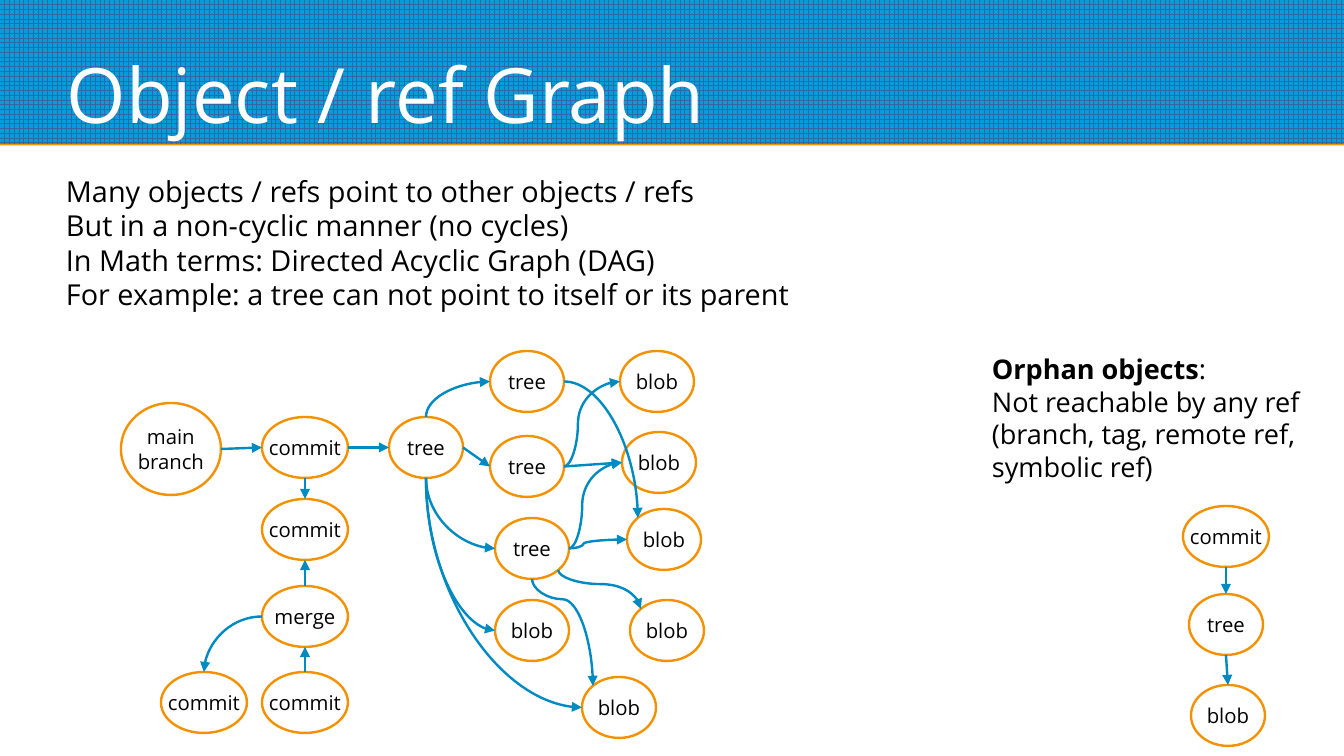
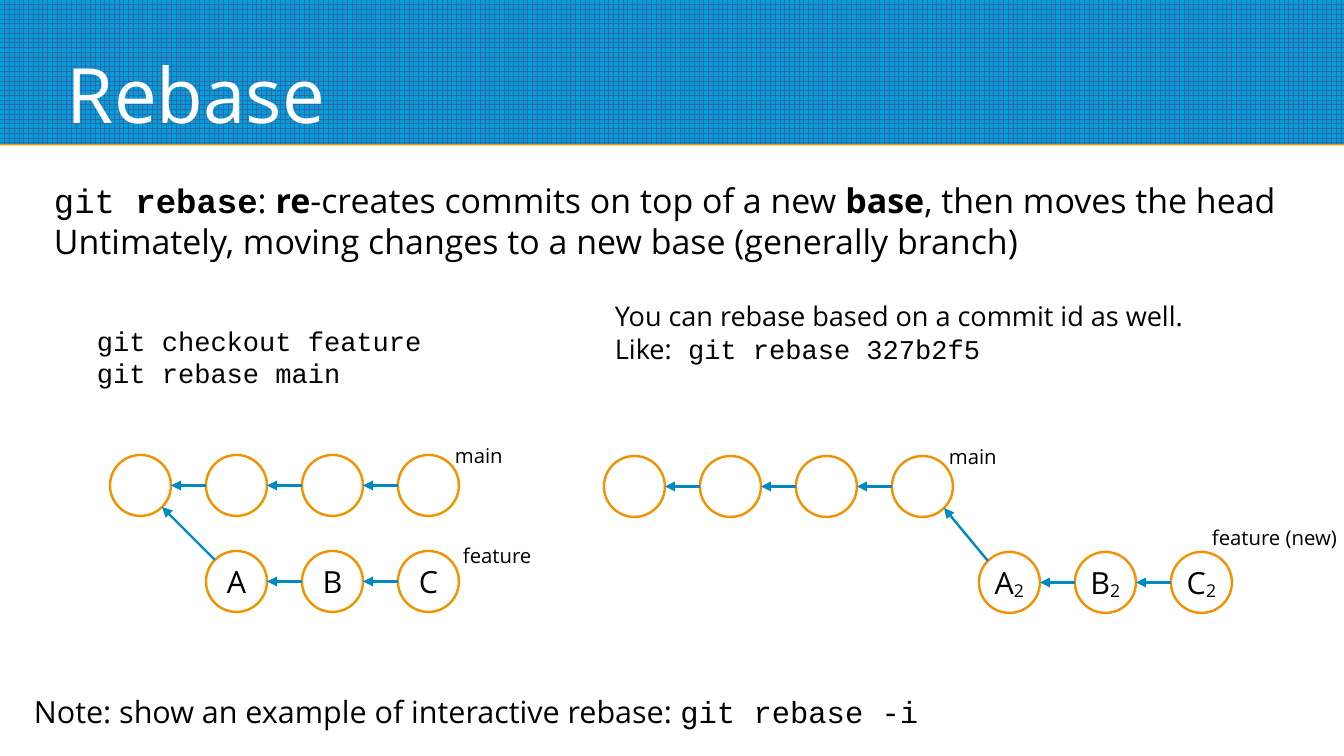
from math import cos, pi, sin

from lxml import etree
from pptx import Presentation
from pptx.dml.color import RGBColor
from pptx.enum.dml import MSO_PATTERN
from pptx.enum.shapes import MSO_CONNECTOR, MSO_SHAPE
from pptx.enum.text import MSO_ANCHOR, PP_ALIGN
from pptx.oxml.ns import qn
from pptx.util import Pt

SCALE = 914400 / 122
WIDE, HIGH = 1344, 756
SANS, MONO = "Open Sans", "Courier New"
BLUE, GRID, ORANGE, ARROW = "009EDA", "3465A4", "F49100", "008AC2"
BLACK, WHITE = "000000", "FFFFFF"
STROKE = Pt(1.42)
OVAL, RECT = MSO_SHAPE.OVAL, MSO_SHAPE.RECTANGLE
STRAIGHT, CURVE = MSO_CONNECTOR.STRAIGHT, MSO_CONNECTOR.CURVE
LARGE_GRID = MSO_PATTERN.LARGE_GRID
LEFT, CENTER = PP_ALIGN.LEFT, PP_ALIGN.CENTER
MIDDLE, BOTTOM = MSO_ANCHOR.MIDDLE, MSO_ANCHOR.BOTTOM
# Connection sites of an ellipse, counted anticlockwise from the top
TOP, TOP_LEFT, WEST, FOOT, LOW_RIGHT, EAST = 0, 1, 2, 4, 5, 6


def px(n):
    return round(n * SCALE)


def color(code):
    return RGBColor.from_string(code)


def write(shape, paras, size, tint=BLACK, align=LEFT, anchor=MIDDLE,
          pad=(5, 5, 0, 5), wrap=True):
    """Each paragraph is a string or a list of (text, style) pairs.
    Styles: b bold, m monospaced, s subscript."""
    frame = shape.text_frame
    frame.word_wrap = wrap
    frame.vertical_anchor = anchor
    frame.margin_left, frame.margin_top, frame.margin_right, frame.margin_bottom = map(px, pad)
    for n, parts in enumerate(paras):
        para = frame.add_paragraph() if n else frame.paragraphs[0]
        para.alignment = align
        for text, style in [(parts, "")] if isinstance(parts, str) else parts:
            run = para.add_run()
            run.text = text
            run.font.name = MONO if "m" in style else SANS
            run.font.size = Pt(size)
            run.font.bold = "b" in style
            run.font.color.rgb = color(tint)
            if "s" in style:
                run.font._element.set("baseline", "-8000")


def label(slide, box, paras, size, **look):
    write(slide.shapes.add_textbox(*map(px, box)), paras, size, **look)


def header(slide, title, box=(0, 0, WIDE, 144)):
    x, y, w, h = box
    band = slide.shapes.add_shape(RECT, *map(px, box))
    band.fill.patterned()
    band.fill.pattern = LARGE_GRID
    band.fill.fore_color.rgb = color(GRID)
    band.fill.back_color.rgb = color(BLUE)
    band.line.fill.background()
    band.shadow.inherit = False
    # Thin orange edge below the band
    glow = etree.SubElement(band._element.spPr.find(qn("a:effectLst")), qn("a:outerShdw"),
                            blurRad="0", dist="11430", dir="5400000",
                            algn="ctr", rotWithShape="0")
    etree.SubElement(glow, qn("a:srgbClr"), val=ORANGE)
    label(slide, (x + 67, y + 12, w - 134, h - 17), [title], 45,
          tint=WHITE, anchor=BOTTOM, pad=(0, 0, 0, 0))


def node(slide, box, paras, size):
    oval = slide.shapes.add_shape(OVAL, *map(px, box))
    oval.fill.background()
    oval.line.color.rgb = color(ORANGE)
    oval.line.width = STROKE
    oval.shadow.inherit = False
    if paras:
        write(oval, paras, size, align=CENTER, pad=(5, 5, 5, 5), wrap=False)
    return oval


def site(oval, n):
    turn = pi / 2 + n * pi / 4
    return (round(oval.left + oval.width / 2 * (1 + cos(turn))),
            round(oval.top + oval.height / 2 * (1 - sin(turn))))


def link(slide, start, i, end, j, bend=None):
    """Arrow between two sites; bend is the percentage where a curve turns."""
    (x1, y1), (x2, y2) = site(start, i), site(end, j)
    kind = STRAIGHT if bend is None else CURVE
    line = slide.shapes.add_connector(kind, x1, y1, x2, y2)
    props = line._element.spPr
    if bend is not None:
        curve(line, props, i, j, x2 - x1, y2 - y1, bend)
    line.line.color.rgb = color(ARROW)
    line.line.width = STROKE
    etree.SubElement(props.find(qn("a:ln")), qn("a:tailEnd"), type="triangle")
    etree.SubElement(props, qn("a:effectLst"))
    # Join both ends to the ovals
    joint = line._element.nvCxnSpPr.cNvCxnSpPr
    for tag, oval, n in (("a:stCxn", start, i), ("a:endCxn", end, j)):
        etree.SubElement(joint, qn(tag), id=str(oval.shape_id), idx=str(n))


def curve(line, props, i, j, dx, dy, bend):
    upright, landing = (n not in (WEST, EAST) for n in (i, j))
    shape = props.find(qn("a:prstGeom"))
    if upright != landing:
        shape.set("prst", "curvedConnector2")
    else:
        guides = shape.find(qn("a:avLst"))
        if guides is None:
            guides = etree.SubElement(shape, qn("a:avLst"))
        etree.SubElement(guides, qn("a:gd"), name="adj1", fmla=f"val {bend * 1000}")
    if upright:
        # A curve leaving up or down is a turned one; all of these run rightwards
        w, h = abs(dy), abs(dx)
        line.left += (h - w) // 2
        line.top += (w - h) // 2
        line.width, line.height = w, h
        frame = props.find(qn("a:xfrm"))
        frame.set("rot", "16200000" if dy > 0 else "5400000")
        frame.set("flipH", "1")
        frame.set("flipV", "0" if dy > 0 else "1")


SIZES = {"commit": (86, 61), "merge": (86, 61), "main\nbranch": (100, 92)}


def graph(slide, x, y, nodes, links):
    ovals = {}
    for key, (text, dx, dy) in nodes.items():
        size = SIZES.get(text, (74, 61))
        ovals[key] = node(slide, (x + dx, y + dy, *size), text.split("\n"), 12)
    for a, i, b, j, *bend in links:
        link(slide, ovals[a], i, ovals[b], j, *bend)


def chain(slide, x, y, names):
    ovals = [node(slide, (x + 96 * n, y, 61, 61), name, 18)
             for n, name in enumerate(names)]
    for old, new in zip(ovals, ovals[1:]):
        link(slide, new, WEST, old, EAST)
    return ovals


def history(slide, x, y, fork, shift, names, tag, spot):
    """Main line of four commits and a branch that starts at one of them."""
    trunk = chain(slide, x, y, [None] * 4)
    branch = chain(slide, x + shift, y + 96, names)
    link(slide, branch[0], TOP_LEFT, trunk[fork], LOW_RIGHT)
    label(slide, (x + 340, y - 19, 137, 38), ["main"], 12)
    label(slide, (x + spot[0], y + spot[1], 137, 31), [tag], 12)


NODES = {
    "main": ("main\nbranch", 0, 52),
    "head": ("commit", 141, 66), "past": ("commit", 141, 148),
    "merge": ("merge", 141, 235), "next": ("commit", 141, 321),
    "side": ("commit", 40, 321),
    "root": ("tree", 268, 66),
    "tree1": ("tree", 369, 0), "tree2": ("tree", 369, 85), "tree3": ("tree", 374, 167),
    "blob1": ("blob", 499, 0), "blob2": ("blob", 501, 81), "blob3": ("blob", 506, 158),
    "blob4": ("blob", 509, 249), "blob5": ("blob", 374, 249), "blob6": ("blob", 461, 326),
}
LINKS = [
    ("main", EAST, "head", WEST), ("head", EAST, "root", WEST),
    ("head", FOOT, "past", TOP), ("merge", TOP, "past", FOOT),
    ("next", TOP, "merge", FOOT), ("merge", WEST, "side", TOP, 50),
    ("root", EAST, "tree2", WEST), ("root", TOP, "tree1", WEST, 50),
    ("root", FOOT, "tree3", WEST, 50), ("root", FOOT, "blob5", WEST, 50),
    ("root", FOOT, "blob6", WEST, 50),
    ("tree1", EAST, "blob3", TOP_LEFT, 50),
    ("tree2", EAST, "blob1", WEST, 25), ("tree2", EAST, "blob2", WEST),
    ("tree3", EAST, "blob2", WEST, 25), ("tree3", EAST, "blob3", WEST, 25),
    ("tree3", LOW_RIGHT, "blob4", TOP_LEFT, 36), ("tree3", FOOT, "blob6", TOP_LEFT, 19),
]
LOST = {"commit": ("commit", 0, 0), "tree": ("tree", 6, 88), "blob": ("blob", 8, 179)}
LOST_LINKS = [("commit", FOOT, "tree", TOP), ("tree", FOOT, "blob", TOP)]


def objects(slide):
    header(slide, "Object / ref Graph")
    label(slide, (61, 159, 817, 167), [
        "Many objects / refs point to other objects / refs",
        "But in a non-cyclic manner (no cycles)",
        "In Math terms: Directed Acyclic Graph (DAG)",
        "For example: a tree can not point to itself or its parent"], 17)
    graph(slide, 121, 351, NODES, LINKS)
    # Orphans
    label(slide, (987, 337, 344, 161), [
        [("Orphan objects", "b"), (":", "")],
        "Not reachable by any ref (branch, tag, remote ref, symbolic ref)"], 16)
    graph(slide, 1183, 506, LOST, LOST_LINKS)


def rebase(slide):
    header(slide, "Rebase")
    label(slide, (49, 146, 1295, 149), [
        [("git ", "m"), ("rebase", "mb"), (": ", ""), ("re", "b"),
         ("-creates commits on top of a new ", ""), ("base", "b"),
         (", then moves the head", "")],
        "Untimately, moving changes to a new base (generally branch)"], 20)
    # Commands
    label(slide, (92, 321, 336, 71), [
        [("git checkout feature", "m")], [("git rebase main", "m")]], 16)
    label(slide, (610, 271, 671, 122), [
        "You can rebase based on a commit id as well.",
        [("Like:", ""), (" git rebase 327b2f5", "m")]], 16)
    # Before and after
    history(slide, 110, 455, 0, 96, ["A", "B", "C"], "feature", (348, 85))
    after = [[[(name, ""), ("2", "s")]] for name in "ABC"]
    history(slide, 604, 456, 3, 375, after, "feature (new)", (603, 66))
    label(slide, (29, 686, 920, 51), [
        [("Note: show an example of interactive rebase: ", ""),
         ("git rebase -i", "m")]], 18)


def main():
    deck = Presentation()
    deck.slide_width, deck.slide_height = px(WIDE), px(HIGH)
    for build in (objects, rebase):
        build(deck.slides.add_slide(deck.slide_layouts[6]))
    deck.save("out.pptx")


if __name__ == "__main__":
    main()
